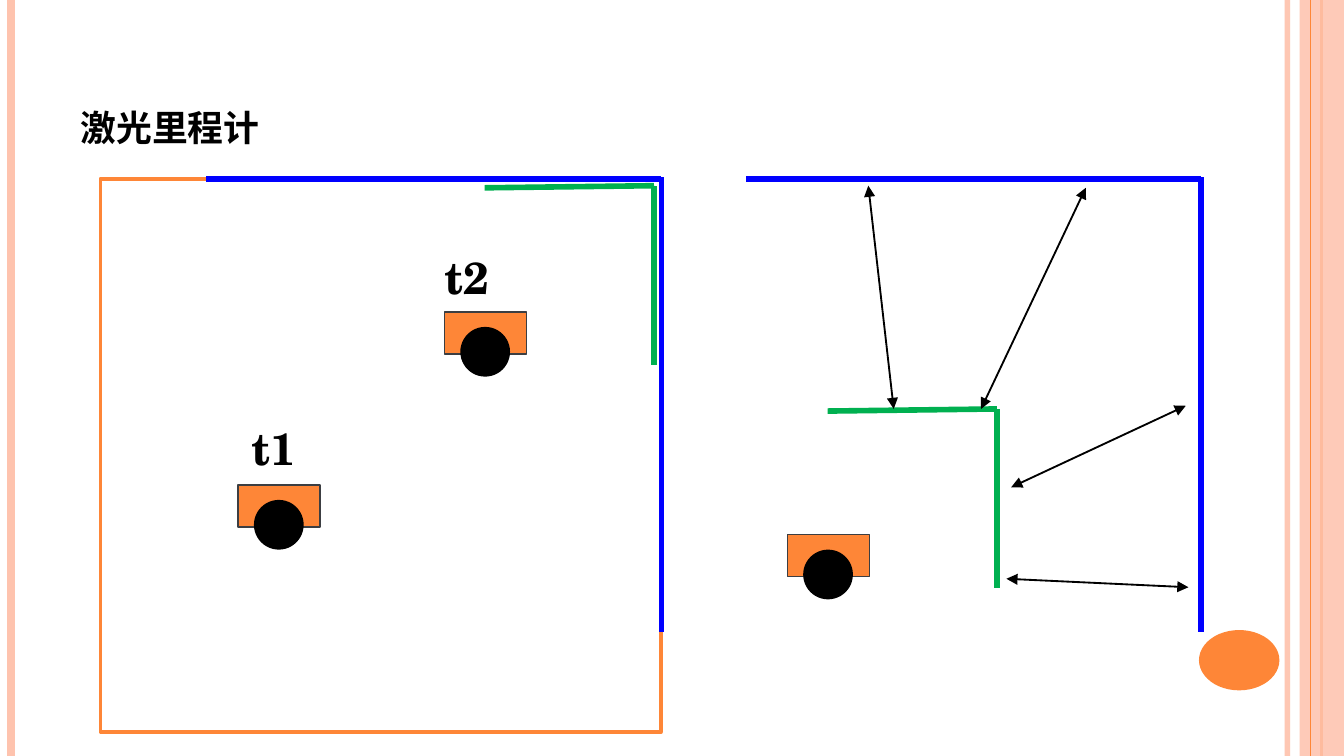
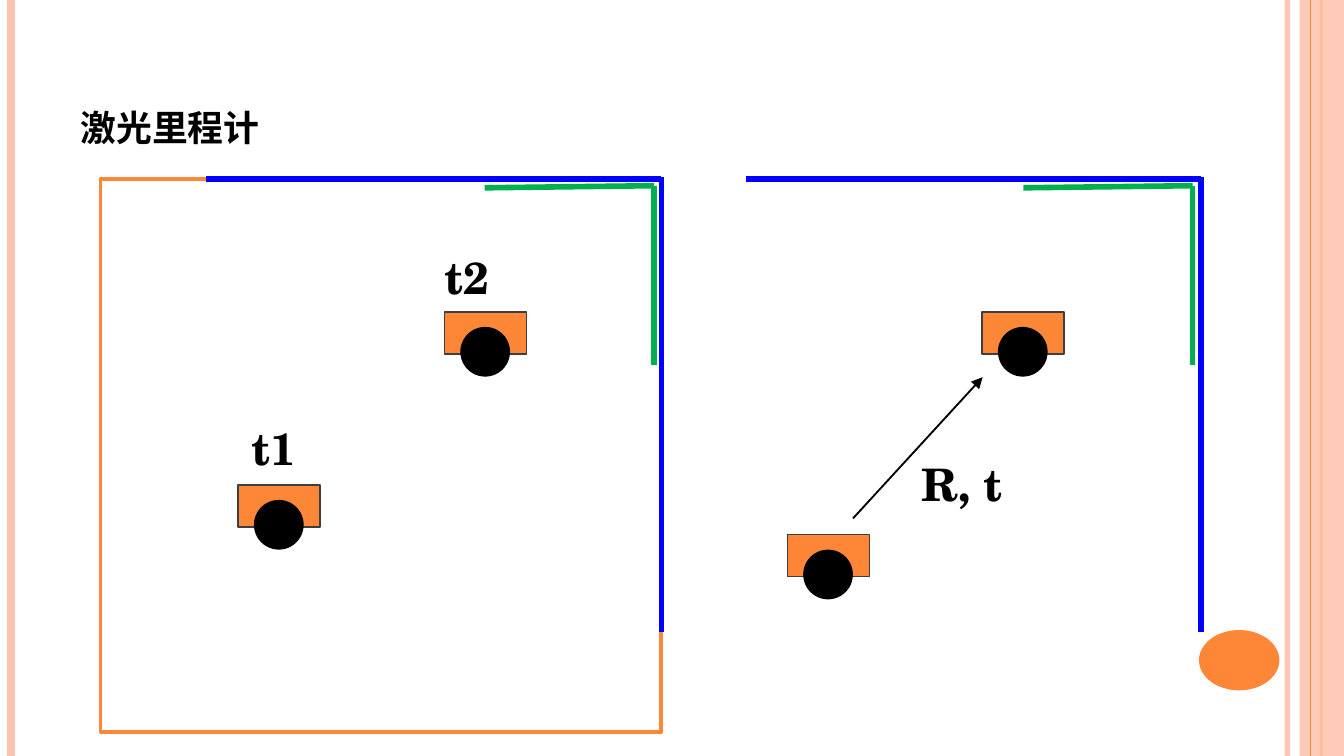
from dataclasses import dataclass

from lxml import etree
from pptx import Presentation
from pptx.dml.color import RGBColor
from pptx.enum.shapes import MSO_CONNECTOR, MSO_SHAPE
from pptx.enum.text import MSO_ANCHOR, MSO_AUTO_SIZE
from pptx.oxml.ns import qn
from pptx.util import Cm, Pt

RECTANGLE = MSO_SHAPE.RECTANGLE
OVAL = MSO_SHAPE.OVAL
STRAIGHT = MSO_CONNECTOR.STRAIGHT
BOTTOM = MSO_ANCHOR.BOTTOM
TOP = MSO_ANCHOR.TOP
GROW = MSO_AUTO_SIZE.SHAPE_TO_FIT_TEXT
NO_FIT = MSO_AUTO_SIZE.NONE

WIDTH, HEIGHT = 25.4, 14.29
FONT = "TeX Gyre Schola"
ORANGE = "FE8637"
PINK = "FEC3AE"
BLUE = "0000FF"
GREEN = "00B050"
BLACK = "000000"
WHITE = "FFFFFF"
SLATE = "3C3E42"


@dataclass(frozen=True)
class Stripe:
    x: float
    color: str
    weight: float
    opacity: int = 100


@dataclass(frozen=True)
class Robot:
    x: float
    y: float


@dataclass(frozen=True)
class Scan:
    """Two walls that meet at an upper right corner."""
    x: float
    y: float
    color: str
    across: float
    down: float
    tilt: float = 0
    overlap: float = 0


@dataclass(frozen=True)
class Arrow:
    x1: float
    y1: float
    x2: float
    y2: float
    both_ends: bool = True


@dataclass(frozen=True)
class Label:
    text: str
    x: float
    y: float
    width: float = 2.01
    height: float = 1.54


LEFT_STRIPES = (
    Stripe(24.33, PINK, 3, 93),
    Stripe(0.21, PINK, 4.5),
    Stripe(24.97, ORANGE, 1.5),
)
EDGE_STRIPE = Stripe(24.77, ORANGE, 0.75)


def wide_scan(x: float) -> Scan:
    return Scan(x, 3.38, BLUE, across=8.6, down=8.56, overlap=0.03)


def near_scan(x: float, y: float) -> Scan:
    return Scan(x, y, GREEN, across=3.2, down=3.38, tilt=0.04)


ROOM_ROBOTS = (Robot(4.5, 9.17), Robot(8.4, 5.9))
ROOM_SCANS = (wide_scan(12.5), near_scan(12.36, 3.51))
ROOM_LABELS = (Label("t1", 4.5, 7.57), Label("t2", 8.15, 4.34, height=1.4))
START_ROBOT = Robot(14.88, 10.11)
MATCH_SCAN = wide_scan(22.7)

MATCHES = (
    Arrow(16.41, 3.51, 16.89, 7.73),
    Arrow(20.52, 3.55, 18.54, 7.73),
    Arrow(22.41, 7.67, 19.11, 9.21),
    Arrow(22.46, 11.1, 19.02, 10.94),
)


def rgb(color: str) -> RGBColor:
    return RGBColor.from_string(color)


def set_opacity(element, percent: int) -> None:
    if percent < 100:
        tone = next(element.iter(qn("a:srgbClr")))
        etree.SubElement(tone, qn("a:alpha")).set("val", str(percent * 1000))


def add_block(page, kind, x: float, y: float, width: float, height: float,
              fill: str, *, line: str = "", weight: float = 0.75,
              opacity: int = 100) -> None:
    block = page.shapes.add_shape(kind, Cm(x), Cm(y), Cm(width), Cm(height))
    block.shadow.inherit = False
    block.fill.solid()
    block.fill.fore_color.rgb = rgb(fill)
    set_opacity(block._element.spPr, opacity)
    if line:
        block.line.color.rgb = rgb(line)
        block.line.width = Pt(weight)
    else:
        block.line.fill.background()


def add_line(page, x1: float, y1: float, x2: float, y2: float, color: str,
             weight: float, *, opacity: int = 100,
             heads: tuple[str, ...] = ()) -> None:
    """Draw a line; heads names the ends with a triangle, headEnd first."""
    line = page.shapes.add_connector(STRAIGHT, Cm(x1), Cm(y1), Cm(x2), Cm(y2))
    line.line.color.rgb = rgb(color)
    line.line.width = Pt(weight)
    outline = line.line._get_or_add_ln()
    set_opacity(outline, opacity)
    for end in heads:
        etree.SubElement(outline, qn(f"a:{end}")).set("type", "triangle")
    etree.SubElement(line._element.spPr, qn("a:effectLst"))


def add_text(page, text: str, x: float, y: float, width: float, height: float,
             *, spacing: float = 1.0, anchor=TOP, fit=GROW,
             small_caps: bool = False) -> None:
    box = page.shapes.add_textbox(Cm(x), Cm(y), Cm(width), Cm(height))
    frame = box.text_frame
    frame.word_wrap = True
    frame.auto_size = fit
    frame.vertical_anchor = anchor
    para = frame.paragraphs[0]
    para.line_spacing = spacing
    span = para.add_run()
    span.text = text
    span.font.name = FONT
    span.font.size = Pt(24)
    span.font.bold = True
    span.font.color.rgb = rgb(BLACK)
    if small_caps:
        span._r.get_or_add_rPr().set("cap", "small")


def add_stripe(page, stripe: Stripe) -> None:
    add_line(page, stripe.x, 0, stripe.x, HEIGHT, stripe.color, stripe.weight,
             opacity=stripe.opacity)


def add_robot(page, robot: Robot) -> None:
    add_block(page, RECTANGLE, robot.x, robot.y, 1.55, 0.79, ORANGE, line=SLATE)
    add_block(page, OVAL, robot.x + 0.3, robot.y + 0.28, 0.94, 0.94, BLACK)


def add_scan(page, scan: Scan) -> None:
    add_line(page, scan.x - scan.across, scan.y + scan.tilt, scan.x, scan.y,
             scan.color, 3)
    add_line(page, scan.x, scan.y + scan.down, scan.x, scan.y - scan.overlap,
             scan.color, 3)


def add_arrow(page, arrow: Arrow) -> None:
    heads = ("headEnd", "tailEnd") if arrow.both_ends else ("tailEnd",)
    add_line(page, arrow.x1, arrow.y1, arrow.x2, arrow.y2, BLACK, 1, heads=heads)


def add_label(page, label: Label) -> None:
    add_text(page, label.text, label.x, label.y, label.width, label.height,
             spacing=1.25)


def add_page(deck, title: str):
    """Add a page with side bands, page disc and title."""
    page = deck.slides.add_slide(deck.slide_layouts[6])
    page.background.fill.solid()
    page.background.fill.fore_color.rgb = rgb(WHITE)
    for stripe in LEFT_STRIPES:
        add_stripe(page, stripe)
    add_block(page, RECTANGLE, 24.56, 0, WIDTH - 24.56, HEIGHT, PINK, opacity=87)
    add_stripe(page, EDGE_STRIPE)
    add_block(page, OVAL, 22.66, 11.91, 1.52, 1.14, ORANGE)
    add_text(page, title, 1.27, 0.58, 20.75, 2.39, anchor=BOTTOM, fit=NO_FIT,
             small_caps=True)
    return page


def add_odometry_page(deck, robots: tuple[Robot, ...], scan: Scan,
                      arrows: tuple[Arrow, ...],
                      labels: tuple[Label, ...] = ()) -> None:
    """Show the room on the left and the scan matching on the right."""
    page = add_page(deck, "激光里程计")
    add_block(page, RECTANGLE, 1.9, 3.38, 10.59, 10.46, WHITE, line=ORANGE, weight=2)
    for robot in ROOM_ROBOTS + robots:
        add_robot(page, robot)
    for walls in ROOM_SCANS + (scan, MATCH_SCAN):
        add_scan(page, walls)
    for arrow in arrows:
        add_arrow(page, arrow)
    for label in ROOM_LABELS + labels:
        add_label(page, label)


def main() -> None:
    deck = Presentation()
    deck.slide_width = Cm(WIDTH)
    deck.slide_height = Cm(HEIGHT)
    add_odometry_page(deck, (START_ROBOT,), near_scan(18.84, 7.73), MATCHES)
    add_odometry_page(
        deck,
        (START_ROBOT, Robot(18.56, 5.9)),
        near_scan(22.54, 3.51),
        (Arrow(16.12, 9.8, 18.57, 7.13, both_ends=False),),
        (Label("R, t", 17.17, 8.25, width=2.79),),
    )
    deck.save("out.pptx")


if __name__ == "__main__":
    main()
